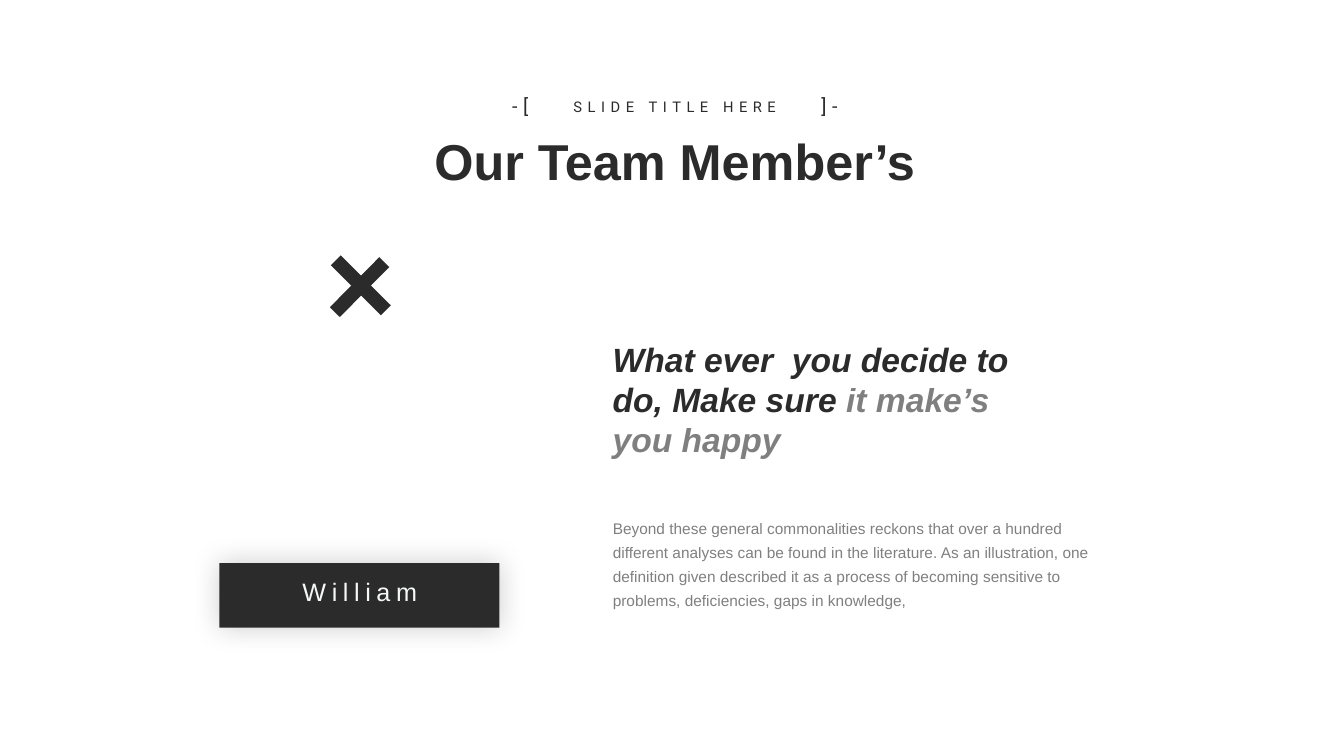
from lxml import etree
from pptx import Presentation
from pptx.dml.color import RGBColor
from pptx.enum.shapes import MSO_CONNECTOR, MSO_SHAPE
from pptx.enum.text import MSO_AUTO_SIZE, PP_ALIGN
from pptx.oxml.ns import qn
from pptx.util import Pt

RECTANGLE = MSO_SHAPE.RECTANGLE
STRAIGHT = MSO_CONNECTOR.STRAIGHT
GROW = MSO_AUTO_SIZE.SHAPE_TO_FIT_TEXT
FIXED = MSO_AUTO_SIZE.NONE
LEFT = PP_ALIGN.LEFT
CENTER = PP_ALIGN.CENTER


def color(value):
    return RGBColor.from_string(value)


def add_alpha(color_element, percent):
    alpha = etree.SubElement(color_element, qn("a:alpha"))
    alpha.set("val", str(percent * 1000))


def add_run(paragraph, text, *, size, font="Arial", fill="2B2B2B",
            bold=False, italic=False, tracking=0, opacity=100):
    run = paragraph.add_run()
    run.text = text
    run.font.name = font
    run.font.size = Pt(size)
    run.font.bold = bold
    run.font.italic = italic
    run.font.color.rgb = color(fill)
    properties = run.font._element
    if tracking:
        properties.set("spc", str(tracking * 100))
    if opacity < 100:
        add_alpha(properties.find(".//" + qn("a:srgbClr")), opacity)


class TeamSlide:
    dark = "2B2B2B"
    light = "F6F8F8"
    white = "FFFFFF"

    def __init__(self, presentation):
        self.slide = presentation.slides.add_slide(presentation.slide_layouts[6])
        background = self.slide.background.fill
        background.solid()
        background.fore_color.rgb = color(self.white)

    def text(self, left, top, width, height, runs, align=LEFT,
             spacing=1.0, wrap=True, auto_size=GROW):
        box = self.slide.shapes.add_textbox(Pt(left), Pt(top), Pt(width), Pt(height))
        frame = box.text_frame
        frame.word_wrap = wrap
        frame.auto_size = auto_size
        paragraph = frame.paragraphs[0]
        paragraph.alignment = align
        paragraph.line_spacing = spacing
        for text, style in runs:
            add_run(paragraph, text, **style)

    def glowing_plate(self, left, top, width, height):
        shape = self.slide.shapes.add_shape(
            RECTANGLE, Pt(left), Pt(top), Pt(width), Pt(height))
        shape.fill.solid()
        shape.fill.fore_color.rgb = color(self.dark)
        shape.line.fill.background()
        shape.shadow.inherit = False
        effects = shape._element.spPr.find(qn("a:effectLst"))
        shadow = etree.SubElement(effects, qn("a:outerShdw"))
        shadow.set("blurRad", str(Pt(20)))
        shadow.set("algn", "ctr")
        shadow.set("rotWithShape", "0")
        shade = etree.SubElement(shadow, qn("a:srgbClr"))
        shade.set("val", "000000")
        add_alpha(shade, 20)

    def stroke(self, start_x, start_y, end_x, end_y):
        connector = self.slide.shapes.add_connector(
            STRAIGHT, Pt(start_x), Pt(start_y), Pt(end_x), Pt(end_y))
        connector.line.color.rgb = color(self.dark)
        connector.line.width = Pt(10)
        etree.SubElement(connector._element.spPr, qn("a:effectLst"))


def main():
    presentation = Presentation()
    presentation.slide_width = Pt(960)
    presentation.slide_height = Pt(540)
    team = TeamSlide(presentation)

    team.text(240.5, 89.3, 483, 51,
              [("Our Team Member’s", {"size": 36, "bold": True})], align=CENTER)
    labels = [
        (399.6, 66.2, 164.9, 20.9, "SLIDE TITLE HERE", 10.5),
        (355, 63.4, 33.1, 24.5, "-[", 14),
        (576, 63.4, 33.1, 24.5, "]-", 14),
    ]
    for left, top, width, height, label, size in labels:
        style = {"size": size, "font": "Roboto", "tracking": 4}
        team.text(left, top, width, height, [(label, style)], align=CENTER, wrap=False)

    team.glowing_plate(156.7, 402.2, 200, 46.1)
    team.text(172.1, 410.4, 169.9, 29.5,
              [("William", {"size": 18, "fill": team.light, "tracking": 4})],
              align=CENTER, spacing=0.9, auto_size=FIXED)

    description = (
        "Beyond these general commonalities reckons that over a hundred "
        "different analyses can be found in the literature. As an illustration, "
        "one definition given described it as a process of becoming sensitive "
        "to problems, deficiencies, gaps in knowledge,")
    team.text(430.6, 363.6, 367.9, 76.3,
              [(description, {"size": 11, "opacity": 60})], spacing=1.3)

    quote = {"size": 24, "bold": True, "italic": True}
    team.text(430.6, 238.3, 305.3, 94.3,
              [("What ever  you decide to do, Make sure ", quote),
               ("it make’s you happy", {**quote, "opacity": 60})])

    team.stroke(274.5, 187.2, 239.2, 223)
    team.stroke(275.6, 221.6, 239.9, 186)

    presentation.save("out.pptx")


if __name__ == "__main__":
    main()
